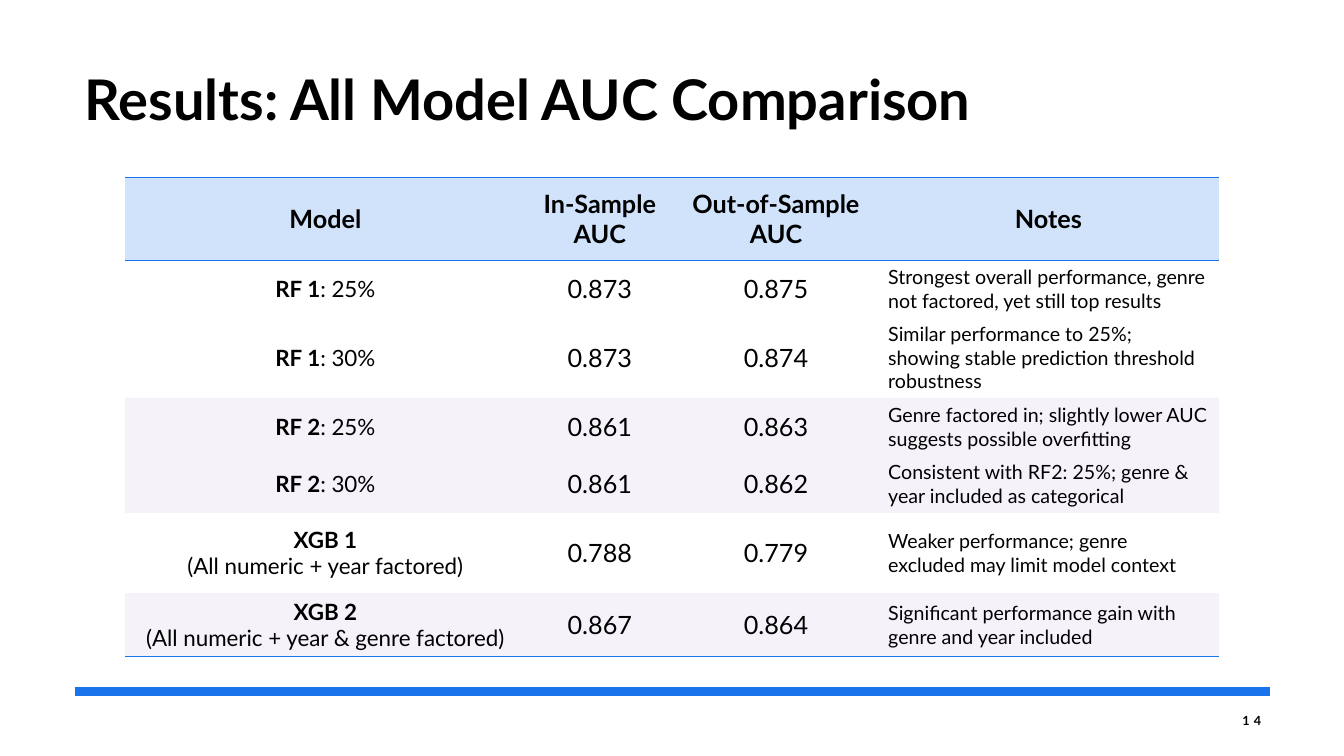
from lxml.etree import SubElement
from pptx import Presentation
from pptx.dml.color import RGBColor as Rgb
from pptx.enum.shapes import MSO_CONNECTOR as Link
from pptx.enum.text import MSO_ANCHOR as Anchor, MSO_AUTO_SIZE as Auto, PP_ALIGN as Align
from pptx.oxml.ns import qn
from pptx.util import Cm, Pt

HUES = {"text": "000000", "blue": "1973EB", "head": "D1E3FB",
        "plain": "FFFFFF", "band": "F5F2F9"}


def write(para, text, size, bold=False, align=Align.CENTER):
    para.alignment = align
    run = para.add_run()
    run.text = text
    run.font.name = "Lato"
    run.font.size = Pt(size)
    run.font.bold = bold
    run.font.color.rgb = Rgb.from_string(HUES["text"])
    return run


def edge(cell, side):
    props = cell._tc.get_or_add_tcPr()
    line = SubElement(props, qn(f"a:{side}"), w=str(Pt(1)))
    fill = SubElement(line, qn("a:solidFill"))
    SubElement(fill, qn("a:srgbClr"), val=HUES["blue"])


deck = Presentation()
deck.slide_width = Cm(33.87)
deck.slide_height = Cm(19.05)
slide = deck.slides.add_slide(deck.slide_layouts[5])

title = slide.shapes.title
title.left, title.top, title.width, title.height = Cm(1.88), Cm(1.5), Cm(24.64), Cm(2.16)
frame = title.text_frame
frame.auto_size = Auto.NONE
frame.vertical_anchor = Anchor.TOP
write(frame.paragraphs[0], "Results: All Model AUC Comparison", 40, True, Align.LEFT)

heads = ["Model", "In-Sample AUC", "Out-of-Sample AUC", "Notes"]
rows = [
    ("RF 1", ": 25%", "0.873", "0.875", "plain",
     "Strongest overall performance, genre not factored, yet still top results"),
    ("RF 1", ": 30%", "0.873", "0.874", "plain",
     "Similar performance to 25%; showing stable prediction threshold robustness"),
    ("RF 2", ": 25%", "0.861", "0.863", "band",
     "Genre factored in; slightly lower AUC suggests possible overfitting"),
    ("RF 2", ": 30%", "0.861", "0.862", "band",
     "Consistent with RF2: 25%; genre & year included as categorical"),
    ("XGB 1", "(All numeric + year factored)", "0.788", "0.779", "plain",
     "Weaker performance; genre excluded may limit model context"),
    ("XGB 2", "(All numeric + year & genre factored)", "0.867", "0.864", "band",
     "Significant performance gain with genre and year included"),
]
wide = [10.1, 3.73, 5.15, 8.58]
high = [2.08, 1.17, 1.17, 1.17, 1.17, 2.03, 1.57]

grid = slide.shapes.add_table(len(high), len(wide), Cm(3.15), Cm(4.48), Cm(27.56), Cm(12.09))
table = grid.table
table.first_row = False
table.horz_banding = False
style = table._tbl.tblPr.find(qn("a:tableStyleId"))
style.text = "{2D5ABB26-0587-4C30-8999-92F81FD0307C}"
for col, width in zip(table.columns, wide):
    col.width = Cm(width)
for row, height in zip(table.rows, high):
    row.height = Cm(height)
grid.height = Cm(12.09)

for c, text in enumerate(heads):
    cell = table.cell(0, c)
    edge(cell, "lnT")
    write(cell.text_frame.paragraphs[0], text, 18, True)

for r, (name, part, inner, outer, hue, note) in enumerate(rows, 1):
    model = table.cell(r, 0).text_frame
    para = model.paragraphs[0]
    write(para, name, 16, True)
    if part.startswith("("):
        para = model.add_paragraph()
    write(para, part, 16)
    for c, score in enumerate((inner, outer), 1):
        write(table.cell(r, c).text_frame.paragraphs[0], score, 18)
    write(table.cell(r, 3).text_frame.paragraphs[0], note, 14, align=Align.LEFT)

for r, hue in enumerate(["head"] + [row[4] for row in rows]):
    for c in range(len(wide)):
        cell = table.cell(r, c)
        if r in (0, len(rows)):
            edge(cell, "lnB")
        cell.vertical_anchor = Anchor.MIDDLE
        cell.fill.solid()
        cell.fill.fore_color.rgb = Rgb.from_string(HUES[hue])

rule = slide.shapes.add_connector(Link.STRAIGHT, Cm(1.88), Cm(17.42), Cm(32), Cm(17.42))
rule.line.color.rgb = Rgb.from_string(HUES["blue"])
rule.line.width = Pt(6)
SubElement(rule._element.spPr, qn("a:effectLst"))

page = slide.shapes.add_textbox(Cm(30.02), Cm(17.65), Cm(2.01), Cm(1.02)).text_frame
page.word_wrap = True
page.vertical_anchor = Anchor.MIDDLE
para = page.paragraphs[0]
para.space_after = Pt(6)
run = write(para, "14", 9, True, Align.RIGHT)
run.font._element.set("spc", "300")

deck.save("out.pptx")
